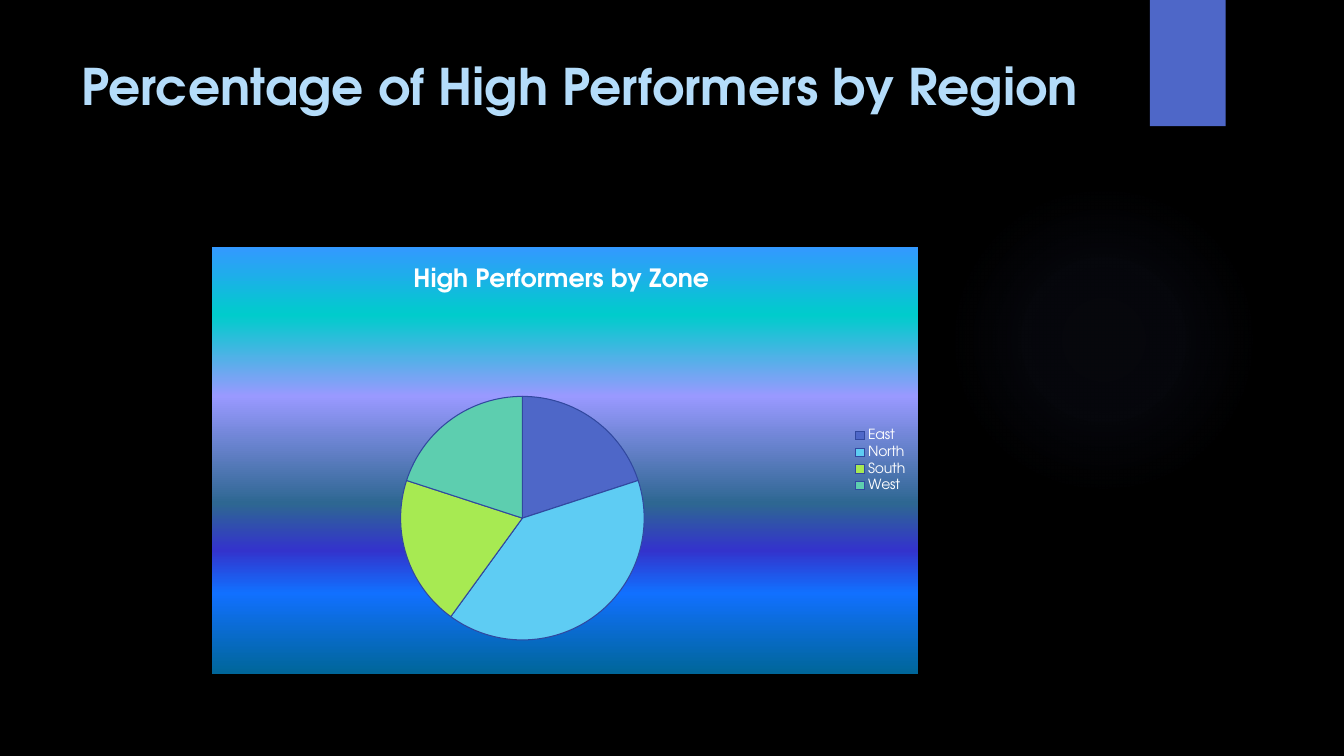
from lxml.etree import fromstring
from pptx import Presentation
from pptx.chart.data import CategoryChartData
from pptx.dml.color import RGBColor
from pptx.enum.chart import XL_CHART_TYPE, XL_LEGEND_POSITION
from pptx.enum.shapes import MSO_SHAPE
from pptx.enum.text import MSO_ANCHOR
from pptx.oxml.ns import nsdecls, qn
from pptx.util import Cm, Pt

FONT = "TeX Gyre Adventor"


def color(hex_string):
    return RGBColor.from_string(hex_string)


def gradient(stops, direction):
    """Build a gradient fill from (position %, colour, opacity %) stops."""
    stop_xml = "".join(
        f'<a:gs pos="{position * 1000}"><a:srgbClr val="{value}">'
        f'<a:alpha val="{opacity * 1000}"/></a:srgbClr></a:gs>'
        for position, value, opacity in stops)
    return fromstring(f'<a:gradFill {nsdecls("a")} rotWithShape="1">'
                      f'<a:gsLst>{stop_xml}</a:gsLst>{direction}</a:gradFill>')


presentation = Presentation()
presentation.slide_width, presentation.slide_height = Cm(33.87), Cm(19.05)
slide = presentation.slides.add_slide(presentation.slide_layouts[6])
slide.background.fill.solid()
slide.background.fill.fore_color.rgb = color("000000")

# Soft glow and corner tab
glow = slide.shapes.add_shape(MSO_SHAPE.OVAL, Cm(23.9), Cm(4.65), Cm(7.82), Cm(7.82))
tab = slide.shapes.add_shape(MSO_SHAPE.RECTANGLE, Cm(28.98), Cm(0), Cm(1.91), Cm(3.18))
for shape in (glow, tab):
    shape.shadow.inherit = False
    shape.line.fill.background()
tab.fill.solid()
tab.fill.fore_color.rgb = color("4E67C8")
glow.fill.background()
properties = glow._element.spPr
properties.replace(properties.find(qn("a:noFill")), gradient(
    [(0, "5968B0", 7), (36, "5968B0", 6), (69, "5968B0", 0)],
    '<a:path path="circle"><a:fillToRect l="50000" t="50000" r="50000" b="50000"/></a:path>'))

# Slide title
title = slide.shapes.add_textbox(Cm(1.8), Cm(1.27), Cm(26.14), Cm(3.89))
title.text_frame.word_wrap = True
title.text_frame.vertical_anchor = MSO_ANCHOR.TOP
title_run = title.text_frame.paragraphs[0].add_run()
title_run.text = "Percentage of High Performers by Region"

# Pie chart
zones = {"East": (20, "4E67C8"), "North": (40, "5ECCF3"),
         "South": (20, "A7EA52"), "West": (20, "5DCEAF")}
data = CategoryChartData()
data.categories = list(zones)
data.add_series("Series 1", [share for share, _ in zones.values()])
chart = slide.shapes.add_chart(
    XL_CHART_TYPE.PIE, Cm(5.33), Cm(6.22), Cm(17.81), Cm(10.77), data).chart
chart.has_title = True
chart_title_run = chart.chart_title.text_frame.paragraphs[0].add_run()
chart_title_run.text = "High Performers by Zone "
chart.chart_title.include_in_layout = False
chart.has_legend = True
chart.legend.position = XL_LEGEND_POSITION.RIGHT
chart.legend.include_in_layout = False

pie = chart.plots[0]
pie.vary_by_categories = True
for index, (_, zone_color) in enumerate(zones.values()):
    wedge = pie.series[0].points[index].format
    wedge.fill.solid()
    wedge.fill.fore_color.rgb = color(zone_color)
    wedge.line.color.rgb = color("31489F")
    wedge.line.width = Pt(0.75)

# Fonts
for font, values, font_color in (
        (title_run.font, {"size": Pt(36), "bold": True}, "B4DCFA"),
        (chart.font, {"size": Pt(10)}, "FFFFFF"),
        (chart_title_run.font, {"size": Pt(18), "bold": True}, "FFFFFF")):
    for name, value in {"name": FONT, **values}.items():
        setattr(font, name, value)
    font.color.rgb = color(font_color)

# Plot position within the chart
plot_area = chart._chartSpace.chart.plotArea
for layout in plot_area.findall(qn("c:layout")):
    plot_area.remove(layout)
frame = {"x": 0.04, "y": 0.35, "w": 0.8, "h": 0.57}
modes = "".join(f'<c:{axis}Mode val="edge"/>' for axis in "xy")
sizes = "".join(f'<c:{key} val="{value}"/>' for key, value in frame.items())
plot_area.insert(0, fromstring(
    f'<c:layout {nsdecls("c")}><c:manualLayout><c:layoutTarget val="inner"/>'
    f'{modes}{sizes}</c:manualLayout></c:layout>'))

# Chart background
bands = [(0, "3399FF"), (16, "00CCCC"), (35, "9999FF"), (60, "2E6792"),
         (71, "3333CC"), (81, "1170FF"), (100, "006699")]
background = fromstring(f'<c:spPr {nsdecls("c", "a")}><a:ln><a:noFill/></a:ln></c:spPr>')
background.insert(0, gradient([(*band, 100) for band in bands],
                              '<a:lin ang="5400000" scaled="0"/>'))
chart._chartSpace.chart.addnext(background)

presentation.save("out.pptx")
